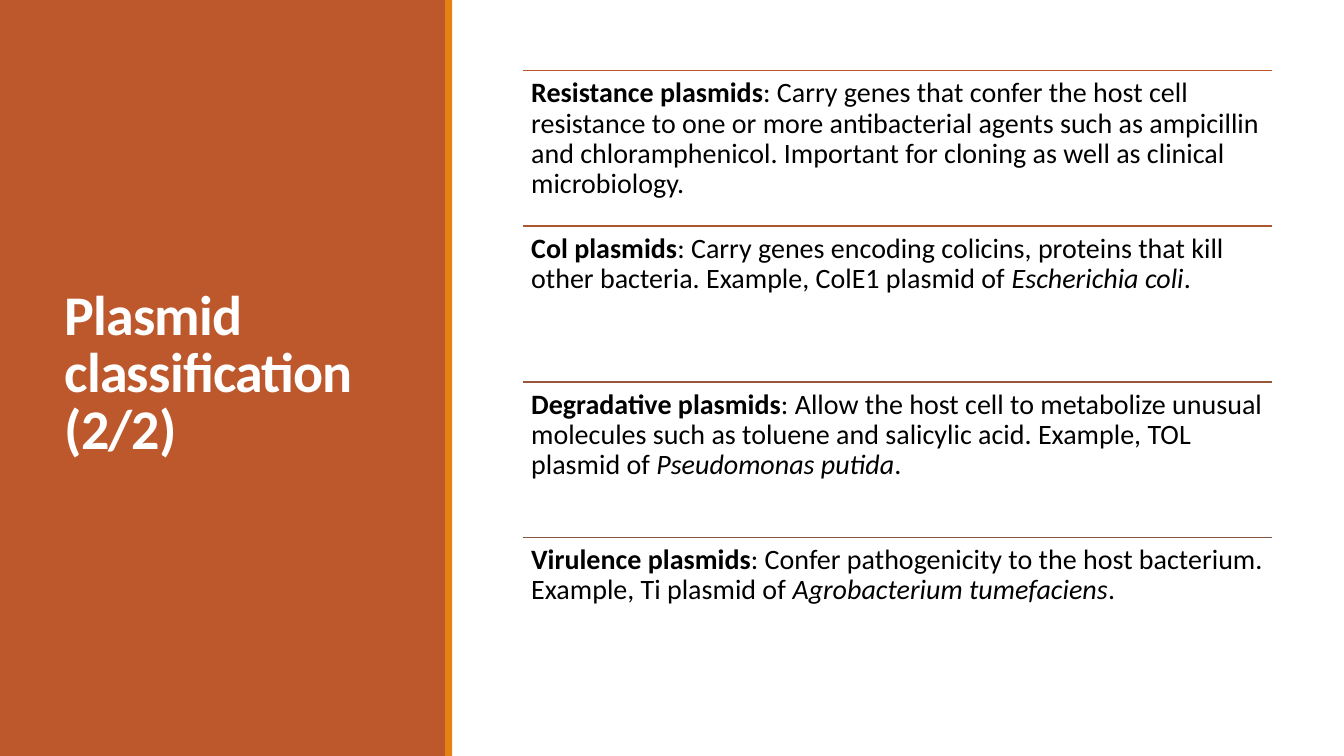
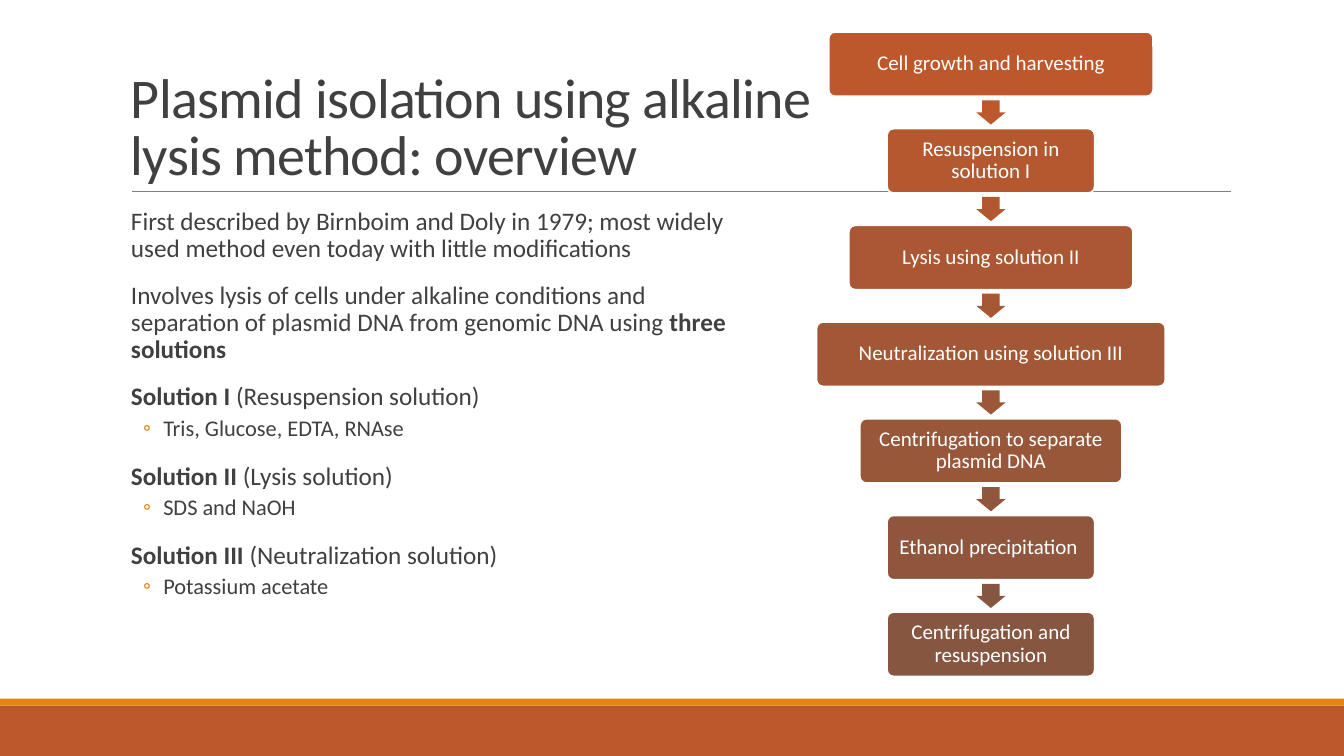
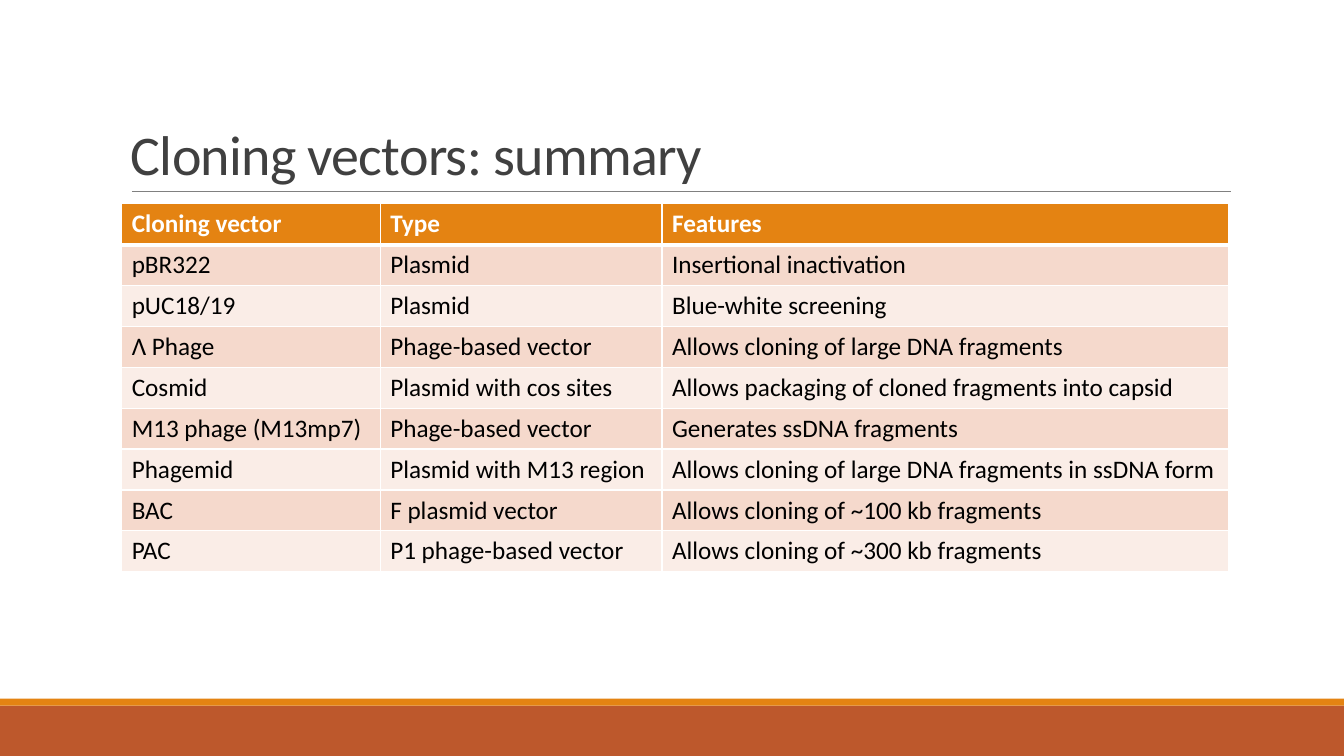
from dataclasses import dataclass

from lxml import etree
from pptx import Presentation
from pptx.dml.color import RGBColor
from pptx.enum import shapes, text
from pptx.oxml import ns
from pptx.util import Pt


@dataclass(frozen=True)
class Theme:
    font: str = "Calibri"
    rust: str = "BD582C"
    brown: str = "865640"
    orange: str = "E48312"
    white: str = "FFFFFF"
    black: str = "000000"
    ink: str = "404040"
    rule: str = "808080"
    rows: tuple = ("F5D9CC", "FAEDE7")
    title: float = 40
    item: float = 20
    body: float = 18
    sub: float = 16
    step: float = 15


T = Theme()
W, H = 960, 540
TITLE_BOX = (86.4, 22.3, 792, 114.5)


# ---- Helpers ----
def rgb(value):
    return RGBColor.from_string(value)


def blend(t):
    """Colour at share t of the way from rust to brown."""
    pairs = zip(bytes.fromhex(T.rust), bytes.fromhex(T.brown))
    return "".join(f"{round(a + (b - a) * t):02X}" for a, b in pairs)


def assign(obj, fmt):
    for name, value in fmt.items():
        setattr(obj, name, value)


def child(parent, tag, **attrs):
    return etree.SubElement(parent, ns.qn(tag), attrs)


def add_shape(s, kind, box, fill, line=None):
    sp = s.shapes.add_shape(kind, *map(Pt, box))
    sp.shadow.inherit = False
    sp.fill.solid()
    sp.fill.fore_color.rgb = rgb(fill)
    if line:
        sp.line.color.rgb = rgb(line)
        sp.line.width = Pt(1.25)
    else:
        sp.line.fill.background()
    return sp


def add_rect(s, box, fill):
    return add_shape(s, shapes.MSO_SHAPE.RECTANGLE, box, fill)


def add_rule(s, x, y, w, color, width):
    line = s.shapes.add_connector(shapes.MSO_CONNECTOR.STRAIGHT,
                                  Pt(x), Pt(y), Pt(x + w), Pt(y))
    line.line.color.rgb = rgb(color)
    line.line.width = Pt(width)
    child(line._element.spPr, "a:effectLst")


def set_frame(tf, anchor="TOP", inset=(7.2, 3.6)):
    dx, dy = map(Pt, inset)
    assign(tf, dict(word_wrap=True, vertical_anchor=getattr(text.MSO_ANCHOR, anchor),
                    margin_left=dx, margin_right=dx, margin_top=dy, margin_bottom=dy))


def add_text(s, box, **frame):
    tf = s.shapes.add_textbox(*map(Pt, box)).text_frame
    set_frame(tf, **frame)
    return tf


def write(p, runs, size, color, spc=None, **fmt):
    """Fill a paragraph; a run is a string or (string, "b" or "i")."""
    assign(p, fmt)
    for run in runs:
        words, style = (run, "") if isinstance(run, str) else run
        r = p.add_run()
        r.text = words
        assign(r.font, dict(name=T.font, size=Pt(size), bold="b" in style, italic="i" in style))
        r.font.color.rgb = rgb(color)
        if spc:
            r._r.get_or_add_rPr().set("spc", str(spc))


def add_title(s, box, words, color=T.ink, anchor="BOTTOM", style=""):
    tf = add_text(s, box, anchor=anchor)
    write(tf.paragraphs[0], [(words, style)], T.title, color, spc=-50, line_spacing=0.85)


# ---- Slide frames ----
def new_slide(prs):
    return prs.slides.add_slide(prs.slide_layouts[6])


def content_slide(prs, title, title_width=TITLE_BOX[2]):
    s = new_slide(prs)
    add_rect(s, (0, 504, W, 36), T.rust)
    add_rect(s, (0, 499, W, 5), T.orange)
    x, y, _, h = TITLE_BOX
    add_rule(s, x + 7.9, y + h, 784.8, T.rule, 0.5)
    add_title(s, (x, y, title_width, h), title)
    return s


def side_panel(s, box, title):
    x, y, w, h = box
    add_rect(s, box, T.rust)
    add_title(s, (x + 38.9, y + 41, 242.6, 454.3), title, T.white, "MIDDLE", "b")
    add_rect(s, (x + w - 1, y, 5, h), T.orange)


# ---- Regions ----
def ruled_list(s, box, items):
    x, y, w, h = box
    pitch = h / len(items)
    for i, runs in enumerate(items):
        top = y + i * pitch
        add_rule(s, x, top, w, blend(i / (len(items) - 1)), 1.25)
        tf = add_text(s, (x, top, w, pitch), inset=(5.76, 5.76))
        write(tf.paragraphs[0], runs, T.item, T.black, line_spacing=0.9)


def body_text(s, box, entries):
    """Entries are (level, runs); level 1 carries a ring bullet."""
    tf = add_text(s, box, inset=(0, 3.6))
    levels = ((T.body, 12, 2, 7.2, 0), (T.sub, 2, 4, 30.24, -14.4))
    for i, (level, runs) in enumerate(entries):
        p = tf.add_paragraph() if i else tf.paragraphs[0]
        size, before, after, margin, indent = levels[level]
        write(p, runs, size, T.ink, level=level, line_spacing=0.9,
              space_before=Pt(before), space_after=Pt(after))
        pPr = p._p.get_or_add_pPr()
        pPr.set("marL", str(Pt(margin)))
        pPr.set("indent", str(Pt(indent)))
        if level:
            child(child(pPr, "a:buClr"), "a:srgbClr", val=T.orange)
            child(pPr, "a:buFont", typeface=T.font)
            child(pPr, "a:buChar", char="◦")


def flow_chart(s, box, steps):
    """Centred column of steps, each (text, width), with arrows in the gaps."""
    x, y, w, h = box
    step_h, arrow_w, arrow_h = 46, 20.9, 17.3
    last = len(steps) - 1
    pitch = (h - step_h) / last
    mid = x + w / 2
    for i, (words, step_w) in enumerate(steps):
        top = y + i * pitch
        sp = add_shape(s, shapes.MSO_SHAPE.ROUNDED_RECTANGLE,
                       (mid - step_w / 2, top, step_w, step_h), blend(i / last), T.white)
        sp.adjustments[0] = 0.1
        set_frame(sp.text_frame, "MIDDLE", (5.76, 5.76))
        write(sp.text_frame.paragraphs[0], [words], T.step, T.white,
              alignment=text.PP_ALIGN.CENTER, line_spacing=0.9)
        if i < last:
            gap_mid = top + (step_h + pitch) / 2
            arrow = add_shape(s, shapes.MSO_SHAPE.DOWN_ARROW,
                              (mid - arrow_w / 2, gap_mid - arrow_h / 2, arrow_w, arrow_h),
                              blend(i / (last - 1)))
            arrow.adjustments[0], arrow.adjustments[1] = 0.6, 0.5


def set_borders(cell, widths):
    tcPr = cell._tc.get_or_add_tcPr()
    for side, width in zip("LRTB", widths):
        ln = child(tcPr, f"a:ln{side}", w=str(Pt(width)))
        child(child(ln, "a:solidFill"), "a:srgbClr", val=T.white)


def vector_table(s, box, col_widths, rows):
    x, y, w, h = box
    tbl = s.shapes.add_table(len(rows), len(col_widths), *map(Pt, box)).table
    for col, width in zip(tbl.columns, col_widths):
        col.width = Pt(width)
    for i, row in enumerate(rows):
        tbl.rows[i].height = Pt(h / len(rows))
        fill = T.rows[(i - 1) % 2] if i else T.orange
        color, style = (T.black, "") if i else (T.white, "b")
        for j, words in enumerate(row):
            cell = tbl.cell(i, j)
            set_borders(cell, (1, 1, 3 if i == 1 else 1, 1 if i else 3))
            cell.fill.solid()
            cell.fill.fore_color.rgb = rgb(fill)
            write(cell.text_frame.paragraphs[0], [(words, style)], T.body, color)


# ---- Slides ----
def classification_slide(prs):
    s = new_slide(prs)
    side_panel(s, (0, 0, 319, H), "Plasmid classification (2/2)")
    ruled_list(s, (373.7, 50.4, 535, 444.6), [
        [("Resistance plasmids", "b"),
         ": Carry genes that confer the host cell resistance to one or more antibacterial agents "
         "such as ampicillin and chloramphenicol. Important for cloning as well as clinical "
         "microbiology."],
        [("Col plasmids", "b"),
         ": Carry genes encoding colicins, proteins that kill other bacteria. "
         "Example, ColE1 plasmid of ", ("Escherichia coli", "i"), "."],
        [("Degradative plasmids", "b"),
         ": Allow the host cell to metabolize unusual molecules such as toluene and salicylic "
         "acid. Example, TOL plasmid of ", ("Pseudomonas putida", "i"), "."],
        [("Virulence plasmids", "b"),
         ": Confer pathogenicity to the host bacterium. Example, Ti plasmid of ",
         ("Agrobacterium tumefaciens", "i"), "."],
    ])


def isolation_slide(prs):
    s = content_slide(prs, "Plasmid isolation using alkaline lysis method: overview", 509)
    body_text(s, (86.4, 145.4, 449.3, 346.3), [
        (0, ["First described by Birnboim and Doly in 1979; most widely used method even today "
             "with little modifications"]),
        (0, ["Involves lysis of cells under alkaline conditions and separation of plasmid DNA "
             "from genomic DNA using ", ("three solutions", "b")]),
        (0, [("Solution I ", "b"), "(Resuspension solution)"]),
        (1, ["Tris, Glucose, EDTA, RNAse"]),
        (0, [("Solution II ", "b"), "(Lysis solution)"]),
        (1, ["SDS and NaOH"]),
        (0, [("Solution III ", "b"), "(Neutralization solution)"]),
        (1, ["Potassium acetate"]),
    ])
    flow_chart(s, (583.2, 22.8, 249.2, 460.4), [
        ("Cell growth and harvesting", 231.8),
        ("Resuspension in solution I", 148.3),
        ("Lysis using solution II", 203),
        ("Neutralization using solution III", 249.2),
        ("Centrifugation to separate plasmid DNA", 187.2),
        ("Ethanol precipitation ", 148.3),
        ("Centrifugation and resuspension", 148.3),
    ])


def summary_slide(prs):
    s = content_slide(prs, "Cloning vectors: summary")
    vector_table(s, (86.9, 145.6, 791, 262.8), (184.7, 201.3, 405), [
        ("Cloning vector", "Type", "Features"),
        ("pBR322", "Plasmid", "Insertional inactivation"),
        ("pUC18/19", "Plasmid", "Blue-white screening"),
        ("Λ Phage", "Phage-based vector", "Allows cloning of large DNA fragments"),
        ("Cosmid", "Plasmid with cos sites", "Allows packaging of cloned fragments into capsid"),
        ("M13 phage (M13mp7)", "Phage-based vector", "Generates ssDNA fragments"),
        ("Phagemid", "Plasmid with M13 region",
         "Allows cloning of large DNA fragments in ssDNA form"),
        ("BAC", "F plasmid vector", "Allows cloning of ~100 kb fragments"),
        ("PAC", "P1 phage-based vector", "Allows cloning of ~300 kb fragments"),
    ])


def main():
    prs = Presentation()
    assign(prs, dict(slide_width=Pt(W), slide_height=Pt(H)))
    for build in (classification_slide, isolation_slide, summary_slide):
        build(prs)
    prs.save("out.pptx")


if __name__ == "__main__":
    main()
